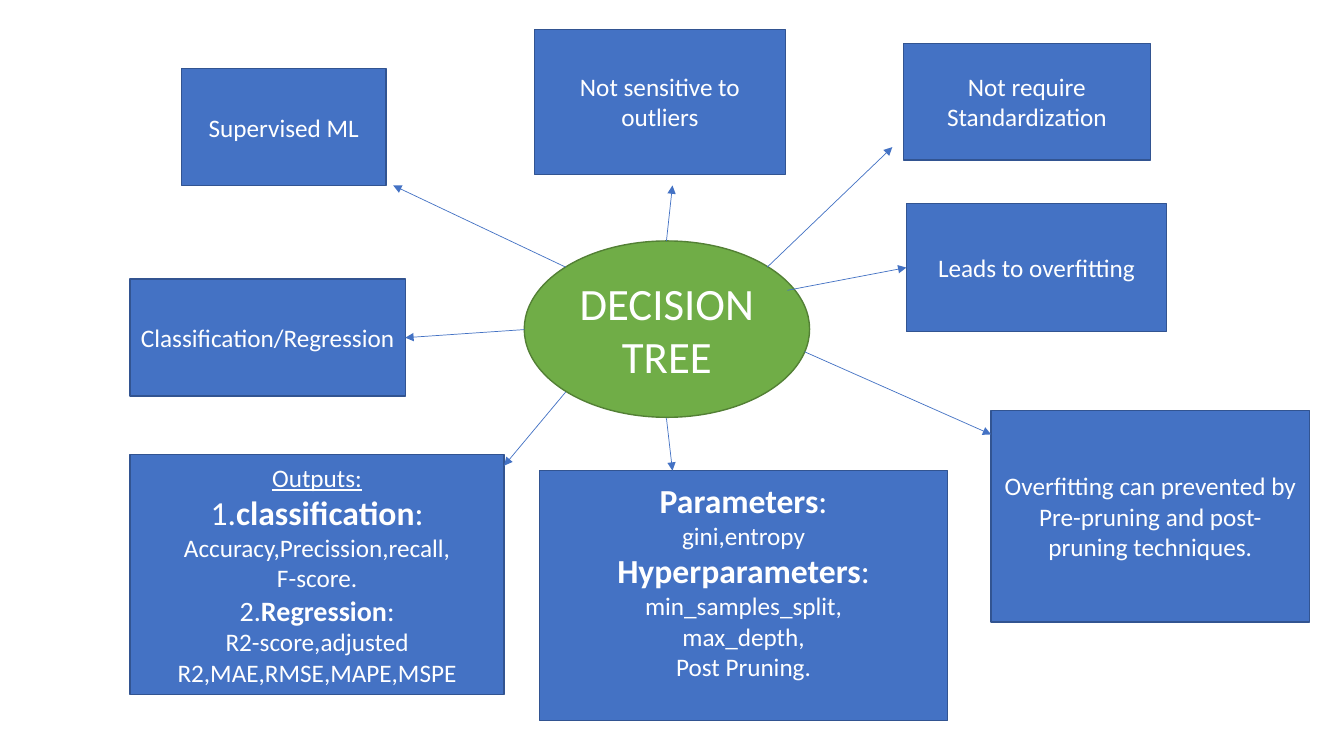
import pptx
import pptx.dml.color
import pptx.enum.shapes
import pptx.enum.text
import pptx.oxml
import pptx.oxml.ns
import pptx.util
from pptx.util import Inches

BLUE = pptx.dml.color.RGBColor(0x44, 0x72, 0xC4)
DARK_BLUE = pptx.dml.color.RGBColor(0x32, 0x54, 0x91)
GREEN = pptx.dml.color.RGBColor(0x70, 0xAD, 0x47)
DARK_GREEN = pptx.dml.color.RGBColor(0x53, 0x80, 0x35)
WHITE = pptx.dml.color.RGBColor(0xFF, 0xFF, 0xFF)

RECTANGLE = pptx.enum.shapes.MSO_SHAPE.RECTANGLE
OVAL = pptx.enum.shapes.MSO_SHAPE.OVAL
STRAIGHT = pptx.enum.shapes.MSO_CONNECTOR.STRAIGHT
LEFT_SIDE, RIGHT_SIDE = 1, 3

BODY = {"size": pptx.util.Pt(18)}
UNDERLINED = {**BODY, "underline": True}
ITEM = {"size": pptx.util.Pt(20)}
HEADING = {"size": pptx.util.Pt(24)}
TITLE = {"size": pptx.util.Pt(32)}
BOLD_ITEM = {**ITEM, "bold": True}
BOLD_HEADING = {**HEADING, "bold": True}

presentation = pptx.Presentation()
presentation.slide_width = Inches(13.33)
presentation.slide_height = Inches(7.5)
slide = presentation.slides.add_slide(presentation.slide_layouts[6])


def add_node(kind, box, fill, outline, paragraphs):
    """Add a filled shape; each paragraph is a list of (text, font format) runs."""
    shape = slide.shapes.add_shape(kind, *[Inches(length) for length in box])
    shape.shadow.inherit = False
    shape.fill.solid()
    shape.fill.fore_color.rgb = fill
    shape.line.color.rgb = outline
    shape.line.width = pptx.util.Pt(1)
    frame = shape.text_frame
    frame.word_wrap = True
    frame.vertical_anchor = pptx.enum.text.MSO_ANCHOR.MIDDLE
    for index, runs in enumerate(paragraphs):
        paragraph = frame.add_paragraph() if index else frame.paragraphs[0]
        paragraph.alignment = pptx.enum.text.PP_ALIGN.CENTER
        for text, font_format in runs:
            run = paragraph.add_run()
            run.text = text
            run.font.name = "Calibri"
            run.font.color.rgb = WHITE
            for name, value in font_format.items():
                setattr(run.font, name, value)
    return shape


add_node(OVAL, (5.2, 2.39, 2.83, 1.75), GREEN, DARK_GREEN, [[("DECISION TREE", TITLE)]])

topics = {
    "supervised": ((1.8, 0.68, 2.03, 1.16), [[("Supervised ML", BODY)]]),
    "task": ((1.29, 2.77, 2.73, 1.16), [[("Classification/Regression", BODY)]]),
    "parameters": ((5.35, 4.67, 4.05, 2.48), [
        [("Parameters", BOLD_HEADING), (":", HEADING)],
        [("gini,entropy", BODY)],
        [("Hyperparameters", BOLD_HEADING), (":", HEADING)],
        [("min_samples_split,", BODY)],
        [("max_depth,", BODY)],
        [("Post Pruning.", BODY)],
    ]),
    "outputs": ((1.29, 4.51, 3.71, 2.38), [
        [("Outputs:", UNDERLINED)],
        [("1.", HEADING), ("classification", BOLD_HEADING), (":", HEADING)],
        [("Accuracy,Precission,recall,", BODY)],
        [("F-score.", BODY)],
        [("2.", ITEM), ("Regression", BOLD_ITEM), (":", ITEM)],
        [("R2-score,adjusted R2,MAE,RMSE,MAPE,MSPE", BODY)],
    ]),
    "outliers": ((5.3, 0.29, 2.49, 1.44), [[("Not sensitive to outliers", BODY)]]),
    "standardization": ((8.96, 0.43, 2.45, 1.16), [[("Not require Standardization", BODY)]]),
    "overfitting": ((8.99, 2.02, 2.58, 1.27), [[("Leads to overfitting", BODY)]]),
    "pruning": ((9.83, 4.07, 3.16, 2.1), [
        [("Overfitting can prevented by", BODY)],
        [("Pre-pruning and post-pruning techniques.", BODY)],
    ]),
}
nodes = {
    name: add_node(RECTANGLE, box, BLUE, DARK_BLUE, paragraphs)
    for name, (box, paragraphs) in topics.items()
}
# The parameter list sits one text line above the middle of its box
nodes["parameters"].text_frame.margin_bottom = Inches(0.35)

# Start, end, and the node and side that the arrow is joined to
arrows = [
    ((6.61, 2.39), (6.67, 1.84), None, None),
    ((5.61, 2.65), (3.9, 1.84), None, None),
    ((5.2, 3.27), (4.02, 3.35), "task", RIGHT_SIDE),
    ((5.61, 3.89), (5, 4.62), None, None),
    ((7.61, 2.65), (8.85, 1.46), None, None),
    ((7.81, 2.88), (8.99, 2.66), "overfitting", LEFT_SIDE),
    ((6.61, 4.15), (6.67, 4.67), None, None),
    ((7.98, 3.49), (9.83, 4.31), None, None),
]
for start, end, target, side in arrows:
    connector = slide.shapes.add_connector(
        STRAIGHT, *[Inches(length) for length in start + end])
    connector.line.color.rgb = BLUE
    connector.line.width = pptx.util.Pt(0.5)
    if target:
        connector.end_connect(nodes[target], side)
    line = connector.line._get_or_add_ln()
    line.append(pptx.oxml.parse_xml(
        f'<a:tailEnd {pptx.oxml.ns.nsdecls("a")} type="triangle"/>'))
    connector._element.spPr.append(pptx.oxml.parse_xml(
        f'<a:effectLst {pptx.oxml.ns.nsdecls("a")}/>'))

presentation.save("out.pptx")
